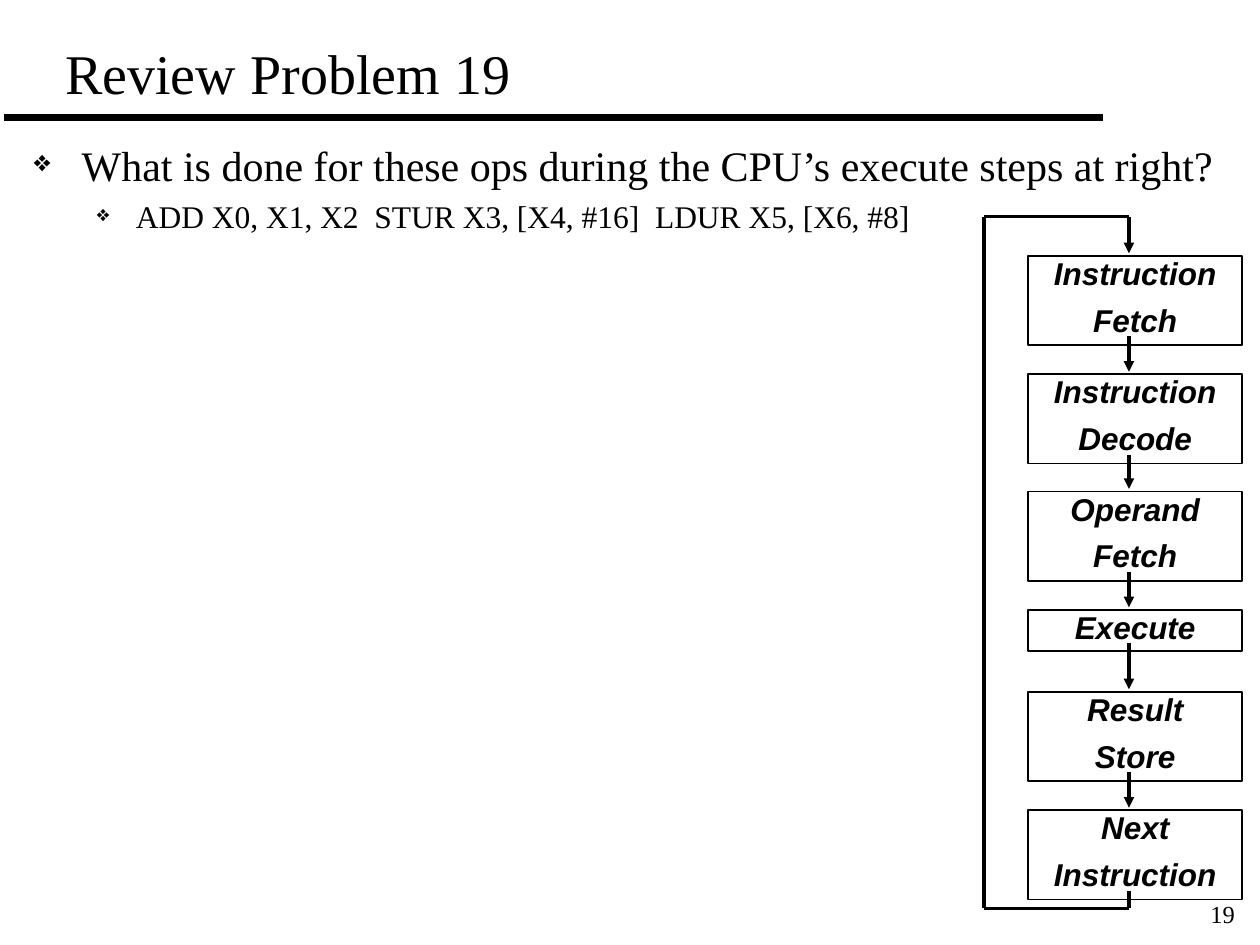
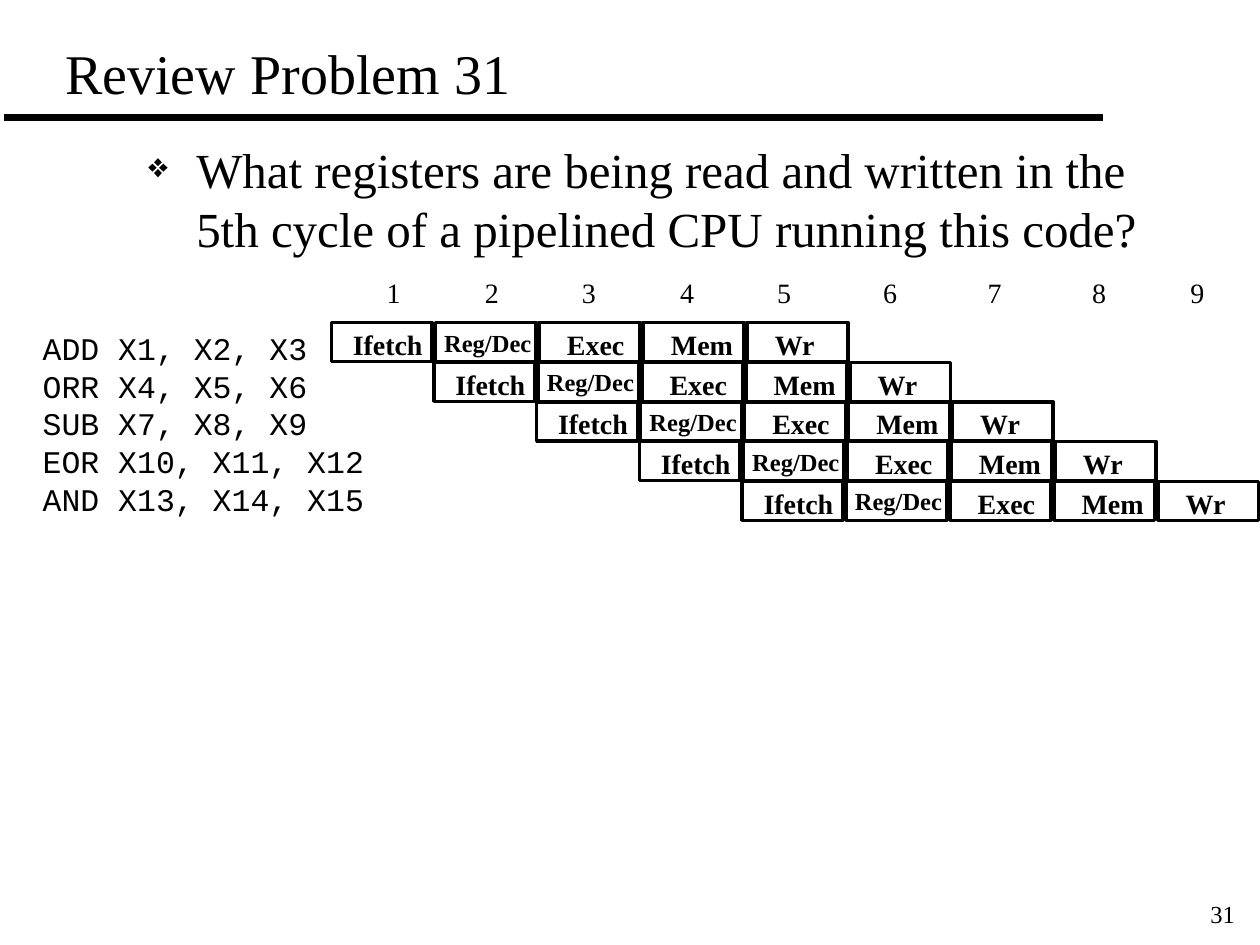
import itertools

import pptx
import pptx.dml.color
import pptx.enum.shapes
import pptx.enum.text
import pptx.oxml.ns
import pptx.util
from lxml import etree

Inches = pptx.util.Inches
Pt = pptx.util.Pt
ALIGN = pptx.enum.text.PP_ALIGN
ANCHOR = pptx.enum.text.MSO_ANCHOR
SHAPE = pptx.enum.shapes.MSO_SHAPE
qn = pptx.oxml.ns.qn

BLACK = pptx.dml.color.RGBColor(0x00, 0x00, 0x00)
SERIF, SANS, MONO = "Times New Roman", "Arial", "Courier New"

# Execute cycle: label, top and height of each step
CYCLE_STEPS = [
    ("Instruction\nFetch", 2.03, 0.71),
    ("Instruction\nDecode", 2.97, 0.71),
    ("Operand\nFetch", 3.9, 0.71),
    ("Execute", 4.84, 0.33),
    ("Result\nStore", 5.49, 0.71),
    ("Next\nInstruction", 6.43, 0.71),
]
STEP_LEFT, STEP_WIDTH = 8.16, 1.7
FLOW_X, LOOP_X = 8.96, 7.81
LOOP_TOP, LOOP_BOTTOM = 1.72, 7.21

# Pipeline: label, text size and left inset of each stage
STAGES = [
    ("Ifetch", 16, 0.17),
    ("Reg/Dec", 14, 0.07),
    ("Exec", 16, 0.22),
    ("Mem", 16, 0.22),
    ("Wr", 16, 0.22),
]
CODE = [
    "ADD X1, X2, X3",
    "ORR X4, X5, X6",
    "SUB X7, X8, X9",
    "EOR X10, X11, X12",
    "AND X13, X14, X15",
]
PIPE_LEFT, PIPE_TOP = 2.63, 2.56
STAGE_STEP = 3.3 / 4
ROW_SHIFT, ROW_STEP = 3.26 / 4, 1.26 / 4
CYCLE_GAPS = [0.78, 0.77, 0.78, 0.77, 0.84, 0.83, 0.83, 0.78]


def add_bullet(p, margin, hang):
    pPr = p._p.get_or_add_pPr()
    pPr.set("marL", str(Inches(margin)))
    pPr.set("indent", str(-Inches(hang)))
    color = etree.SubElement(pPr, qn("a:buClr"))
    etree.SubElement(color, qn("a:srgbClr"), val=str(BLACK))
    etree.SubElement(pPr, qn("a:buSzPct"), val="70000")
    etree.SubElement(pPr, qn("a:buChar"), char="❖")


def add_tabs(p, stops):
    tabs = etree.SubElement(p._p.get_or_add_pPr(), qn("a:tabLst"))
    for stop in stops:
        etree.SubElement(tabs, qn("a:tab"), pos=str(Inches(stop)), algn="l")


def write(p, text, size=18, font=SERIF, bold=False, italic=False,
          align=ALIGN.LEFT, line=None, before=None):
    p.alignment = align
    if line:
        p.line_spacing = line
    if before:
        p.space_before = before
    r = p.add_run()
    r.text = text
    r.font.size = Pt(size)
    r.font.name = font
    r.font.bold = bold
    r.font.italic = italic
    r.font.color.rgb = BLACK


def set_frame(tf, anchor=ANCHOR.TOP, insets=(0.1, 0.05, 0.1, 0.05)):
    tf.word_wrap = True
    tf.vertical_anchor = anchor
    (tf.margin_left, tf.margin_top,
     tf.margin_right, tf.margin_bottom) = map(Inches, insets)


def write_lines(tf, lines, before=None, **style):
    for i, text in enumerate(lines):
        p = tf.add_paragraph() if i else tf.paragraphs[0]
        write(p, text, before=before if i else None, **style)


def add_text_box(s, at, anchor=ANCHOR.TOP):
    tf = s.shapes.add_textbox(*map(Inches, at)).text_frame
    set_frame(tf, anchor)
    return tf


def add_box(s, at, weight, insets):
    """Add an outlined, unfilled rectangle and return its text frame."""
    sp = s.shapes.add_shape(SHAPE.RECTANGLE, *map(Inches, at))
    sp.shadow.inherit = False
    sp.fill.background()
    sp.line.color.rgb = BLACK
    sp.line.width = Pt(weight)
    set_frame(sp.text_frame, insets=insets)
    return sp.text_frame


def add_line(s, start, end, weight=2, arrow=False):
    cx = s.shapes.add_connector(pptx.enum.shapes.MSO_CONNECTOR.STRAIGHT,
                                *map(Inches, start + end))
    cx.line.color.rgb = BLACK
    cx.line.width = Pt(weight)
    if arrow:
        etree.SubElement(cx.line._get_or_add_ln(), qn("a:tailEnd"), type="triangle")
    etree.SubElement(cx._element.spPr, qn("a:effectLst"))


def add_problem_slide(prs, number):
    """Add a slide with the shared title, rule and page number."""
    s = prs.slides.add_slide(prs.slide_layouts[6])
    add_line(s, (0.03, 0.93), (8.75, 0.93), weight=4)
    tf = add_text_box(s, (9.48, 7.09, 0.42, 0.33), ANCHOR.MIDDLE)
    write(tf.paragraphs[0], str(number), size=14, align=ALIGN.RIGHT)
    tf = add_text_box(s, (0.42, 0.33, 8.46, 0.56), ANCHOR.BOTTOM)
    write(tf.paragraphs[0], f"Review Problem {number}", size=32)
    return s


def add_question(s, at, text, size, detail=None):
    tf = add_text_box(s, at)
    p = tf.paragraphs[0]
    add_bullet(p, 0.38, 0.38)
    write(p, text, size=size)
    if detail:
        p = tf.add_paragraph()
        p.level = 1
        add_bullet(p, 0.81, 0.31)
        write(p, detail, before=Pt(4))


def add_execute_cycle(s):
    for label, top, height in CYCLE_STEPS:
        tf = add_box(s, (STEP_LEFT, top, STEP_WIDTH, height), 1,
                     (0.07, 0.03, 0.07, 0.03))
        write_lines(tf, label.split("\n"), font=SANS, bold=True, italic=True,
                    align=ALIGN.CENTER, line=0.86, before=Pt(8))
    for (_, top, height), (_, next_top, _) in itertools.pairwise(CYCLE_STEPS):
        add_line(s, (FLOW_X, top + height - 0.07), (FLOW_X, next_top - 0.02),
                 arrow=True)
    loop = [(FLOW_X, 7.07), (FLOW_X, LOOP_BOTTOM), (LOOP_X, LOOP_BOTTOM),
            (LOOP_X, LOOP_TOP), (FLOW_X, LOOP_TOP), (FLOW_X, 2.01)]
    for start, end in itertools.pairwise(loop):
        add_line(s, start, end, arrow=end == loop[-1])


def add_pipeline(s):
    tf = add_text_box(s, (0.24, 2.56, 2.77, 1.62))
    write_lines(tf, CODE, font=MONO, line=Pt(21.6))
    for row in range(len(CODE)):
        for column, (label, size, inset) in enumerate(STAGES):
            left = PIPE_LEFT + row * ROW_SHIFT + column * STAGE_STEP
            top = PIPE_TOP + row * ROW_STEP
            tf = add_box(s, (left, top, 0.8, 0.31), 2, (inset, 0.04, 0, 0))
            write(tf.paragraphs[0], label, size=size, bold=True)
    p = add_text_box(s, (2.97, 2.14, 6.76, 0.37)).paragraphs[0]
    add_tabs(p, itertools.accumulate(CYCLE_GAPS))
    cycles = range(1, len(CYCLE_GAPS) + 2)
    write(p, "\t".join(map(str, cycles)), size=16)


def main():
    prs = pptx.Presentation()
    prs.slide_width, prs.slide_height = Inches(10), Inches(7.5)

    s = add_problem_slide(prs, 19)
    add_question(s, (0.17, 1.06, 9.83, 5.86),
                 "What is done for these ops during the CPU’s execute steps at right?",
                 24, "ADD X0, X1, X2  STUR X3, [X4, #16]  LDUR X5, [X6, #8]")
    add_execute_cycle(s)

    s = add_problem_slide(prs, 31)
    add_question(s, (1.08, 1.06, 8.5, 5.86),
                 "What registers are being read and written in the 5th cycle "
                 "of a pipelined CPU running this code?", 28)
    add_pipeline(s)

    prs.save("out.pptx")


if __name__ == "__main__":
    main()
